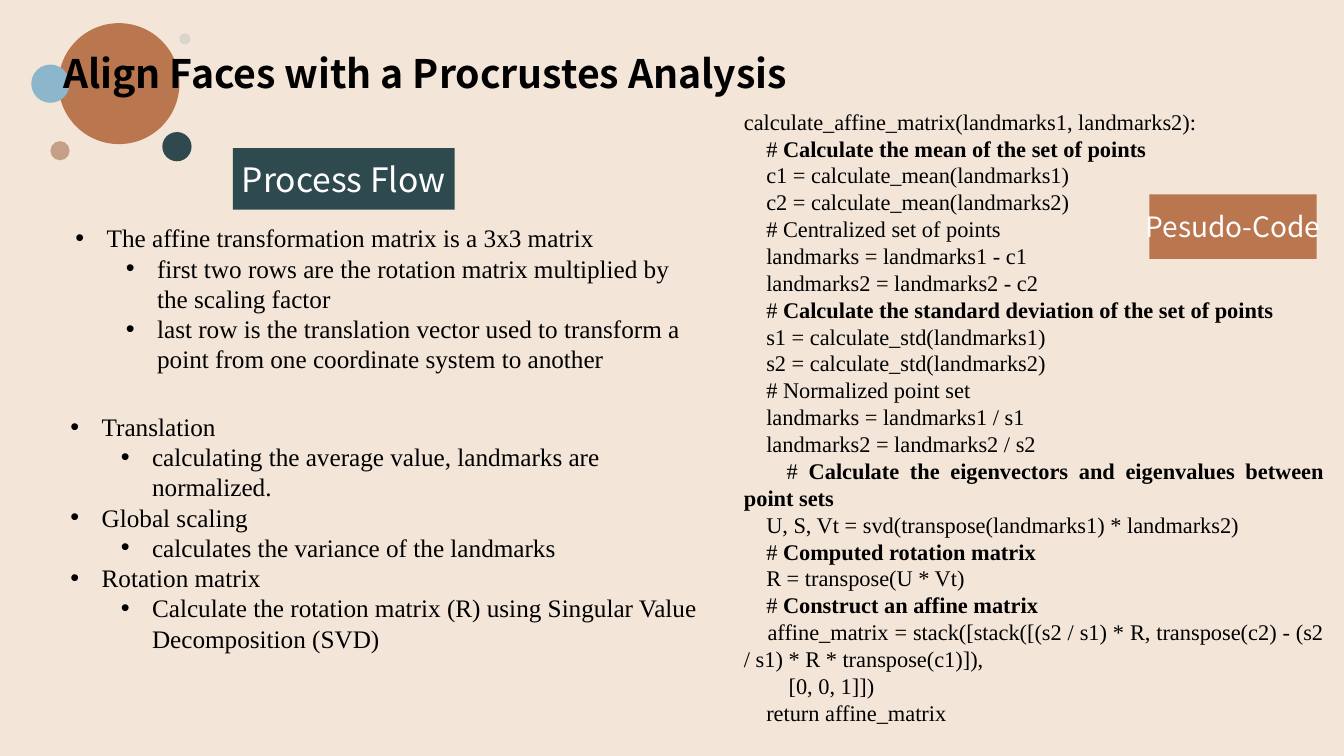
from lxml.etree import SubElement
from pptx import Presentation
from pptx.dml.color import RGBColor
from pptx.enum.shapes import MSO_SHAPE
from pptx.enum.text import MSO_ANCHOR, MSO_AUTO_SIZE, PP_ALIGN
from pptx.oxml.ns import qn
from pptx.util import Inches, Pt

COLORS = {
    "sand": "F3E5D8", "copper": "BA764F", "sky": "8BB6CB", "tan": "C5A086",
    "teal": "2E4A4E", "mist": "D9D5CA", "black": "000000", "white": "FFFFFF",
}
SANS, SERIF = "Noto Sans CJK SC", "Times New Roman"

TITLE = "Align Faces with a Procrustes Analysis"

# left, top, diameter, colour
CIRCLES = [
    (0.58, 0.23, 1.2, "copper"),
    (0.31, 0.64, 0.38, "sky"),
    (0.5, 1.4, 0.19, "tan"),
    (1.61, 1.31, 0.29, "teal"),
    (1.78, 0.33, 0.11, "mist"),
]

# text, box, colour, size
LABELS = [
    ("Process Flow", (2.31, 1.47, 2.2, 0.61), "teal", 24),
    ("Pesudo-Code", (11.4, 1.93, 1.66, 0.64), "copper", 20),
]

# box, then (level, text) for each bullet
BULLET_LISTS = [
    ((0.65, 2.16, 6.29, 1.62), [
        (0, "The affine transformation matrix is a 3x3 matrix"),
        (1, "first two rows are the rotation matrix multiplied by the scaling factor"),
        (1, "last row is the translation vector used to transform a point from one "
            "coordinate system to another"),
    ]),
    ((0.6, 4.03, 6.68, 2.52), [
        (0, "Translation"),
        (1, "calculating the average value, landmarks are normalized."),
        (0, "Global scaling"),
        (1, "calculates the variance of the landmarks"),
        (0, "Rotation matrix"),
        (1, "Calculate the rotation matrix (R) using Singular Value Decomposition (SVD)"),
    ]),
]

# plain part, then an optional bold part
CODE_BOX = (7.28, 1.02, 5.95, 6.29)
CODE = [
    ("calculate_affine_matrix(landmarks1, landmarks2):",),
    ("    # ", "Calculate the mean of the set of points"),
    ("    c1 = calculate_mean(landmarks1)",),
    ("    c2 = calculate_mean(landmarks2)",),
    ("    # Centralized set of points",),
    ("    landmarks = landmarks1 - c1",),
    ("    landmarks2 = landmarks2 - c2",),
    ("    # ", "Calculate the standard deviation of the set of points"),
    ("    s1 = calculate_std(landmarks1)",),
    ("    s2 = calculate_std(landmarks2)",),
    ("    # Normalized point set",),
    ("    landmarks = landmarks1 / s1",),
    ("    landmarks2 = landmarks2 / s2",),
    ("    # ", "Calculate the eigenvectors and eigenvalues between point sets"),
    ("    U, S, Vt = svd(transpose(landmarks1) * landmarks2)",),
    ("    # ", "Computed rotation matrix"),
    ("    R = transpose(U * Vt)",),
    ("    # ", "Construct an affine matrix"),
    ("    affine_matrix = stack([stack([(s2 / s1) * R, transpose(c2) - (s2 / s1) * R "
     "* transpose(c1)]),",),
    ("        [0, 0, 1]])",),
    ("    return affine_matrix",),
]


def rgb(color):
    return RGBColor.from_string(COLORS[color])


def inches(box):
    return [Inches(length) for length in box]


def set_font(font, name, size, color="black", bold=False):
    font.name, font.size, font.bold = name, Pt(size), bold
    font.color.rgb = rgb(color)


def add_filled(shapes, kind, box, color):
    shape = shapes.add_shape(kind, *inches(box))
    shape.shadow.inherit = False
    shape.fill.solid()
    shape.fill.fore_color.rgb = rgb(color)
    shape.line.fill.background()
    return shape


def add_paragraphs(box, count):
    """Add a wrapping text box and return its paragraphs."""
    frame = slide.shapes.add_textbox(*inches(box)).text_frame
    frame.word_wrap = True
    for _ in range(count - 1):
        frame.add_paragraph()
    return frame.paragraphs


def set_bullet(paragraph, level):
    paragraph.level = level
    properties = paragraph._p.get_or_add_pPr()
    properties.set("marL", str(Inches(0.31 + 0.5 * level)))
    properties.set("indent", str(Inches(-0.31)))
    SubElement(properties, qn("a:buFont"), typeface="Arial")
    SubElement(properties, qn("a:buChar"), char="•")


presentation = Presentation()
presentation.slide_width, presentation.slide_height = Inches(13.33), Inches(7.5)
slide = presentation.slides.add_slide(presentation.slide_layouts[5])
slide.background.fill.solid()
slide.background.fill.fore_color.rgb = rgb("sand")

# Circle cluster
cluster = slide.shapes.add_group_shape()
for left, top, diameter, color in CIRCLES:
    add_filled(cluster.shapes, MSO_SHAPE.OVAL, (left, top, diameter, diameter), color)

# Title, in front of the circles
title = slide.shapes.title
title.left, title.top, title.width, title.height = inches((0.06, 0.44, 8.31, 1.99))
title.text_frame.text = TITLE
title.text_frame.word_wrap = True
title.text_frame.auto_size = MSO_AUTO_SIZE.NONE
title.text_frame.vertical_anchor = MSO_ANCHOR.TOP
heading = title.text_frame.paragraphs[0]
heading.alignment = PP_ALIGN.CENTER
set_font(heading.font, SANS, 28, bold=True)
cluster.element.addnext(title.element)

# Section labels
for text, box, color, size in LABELS:
    label = add_filled(slide.shapes, MSO_SHAPE.RECTANGLE, box, color)
    label.text_frame.text = text
    label.text_frame.word_wrap = False
    label.text_frame.vertical_anchor = MSO_ANCHOR.MIDDLE
    caption = label.text_frame.paragraphs[0]
    caption.alignment = PP_ALIGN.CENTER
    set_font(caption.font, SANS, size, "white")

# Pseudo-code
for paragraph, parts in zip(add_paragraphs(CODE_BOX, len(CODE)), CODE):
    paragraph.alignment = PP_ALIGN.JUSTIFY
    set_font(paragraph.font, SERIF, 16)
    for position, text in enumerate(parts):
        run = paragraph.add_run()
        run.text = text
        if position == 1:
            run.font.bold = True

# Process flow bullets
for box, bullets in BULLET_LISTS:
    for paragraph, (level, text) in zip(add_paragraphs(box, len(bullets)), bullets):
        set_bullet(paragraph, level)
        paragraph.text = text
        set_font(paragraph.font, SERIF, 18)

presentation.save("out.pptx")
